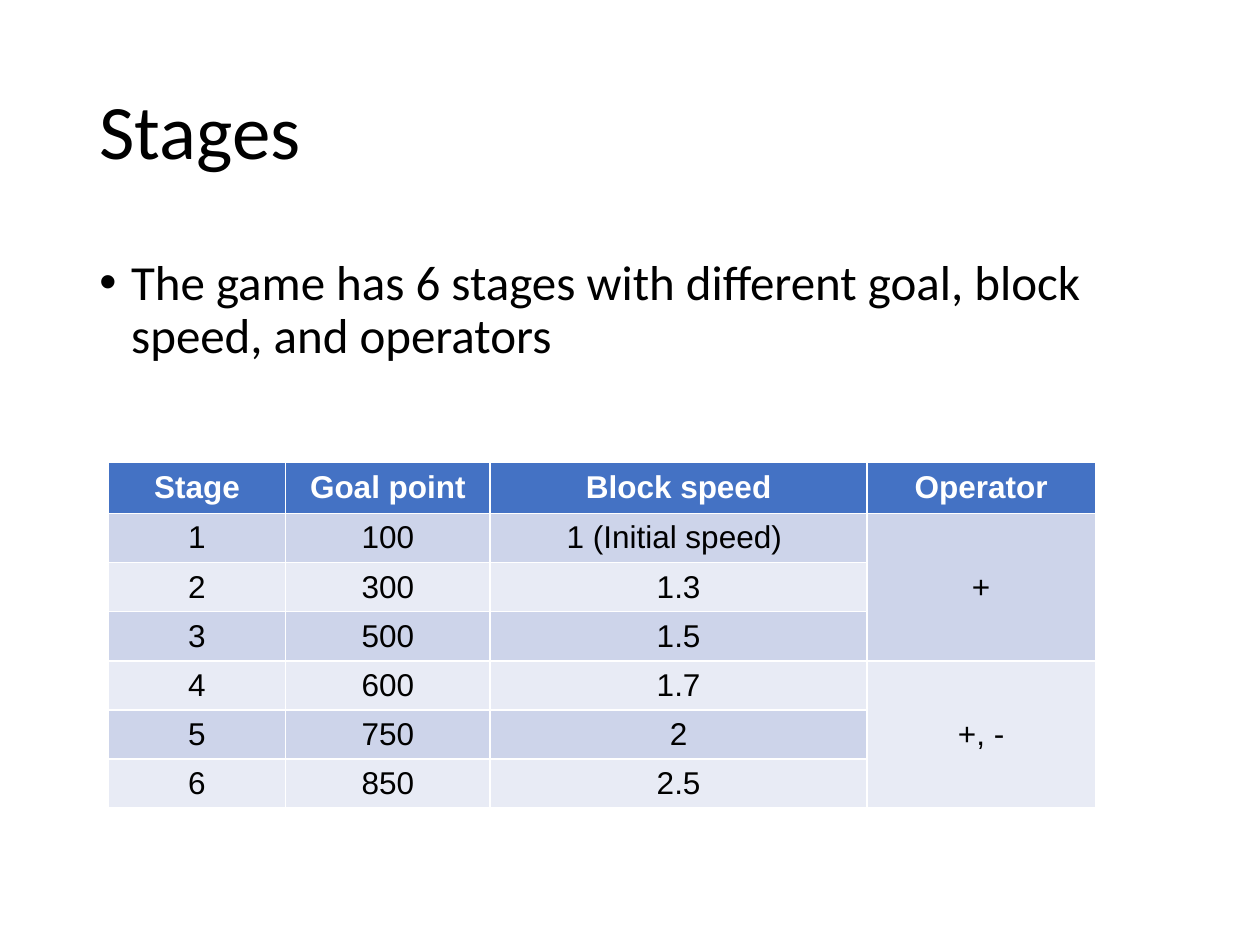
from lxml import etree
from pptx import Presentation
from pptx.dml.color import RGBColor
from pptx.enum.text import MSO_ANCHOR, MSO_AUTO_SIZE, PP_ALIGN
from pptx.oxml.ns import qn
from pptx.util import Cm, Pt

BLACK = RGBColor(0x00, 0x00, 0x00)
WHITE = RGBColor(0xFF, 0xFF, 0xFF)
HEADER = RGBColor(0x44, 0x72, 0xC4)
BAND_DARK = RGBColor(0xCD, 0xD4, 0xEA)
BAND_LIGHT = RGBColor(0xE8, 0xEB, 0xF5)


def format_text(p, font, size, color, align, bold=False):
    p.alignment = align
    for r in p.runs:
        r.font.name = font
        r.font.size = Pt(size)
        r.font.bold = bold
        r.font.color.rgb = color


prs = Presentation()
prs.slide_width, prs.slide_height = Cm(25.4), Cm(19.05)
s = prs.slides.add_slide(prs.slide_layouts[1])
title, body = s.placeholders

placeholders = [
    (title, "Stages", 0.86, 4.55 - 0.86, 44, MSO_ANCHOR.MIDDLE),
    (body, "The game has 6 stages with different goal, block speed, and operators",
     5.08, 12.09, 28, MSO_ANCHOR.TOP),
]
for sp, text, top, height, size, anchor in placeholders:
    sp.left, sp.top, sp.width, sp.height = Cm(1.75), Cm(top), Cm(21.9), Cm(height)
    tf = sp.text_frame
    tf.text = text
    tf.word_wrap = True
    tf.auto_size = MSO_AUTO_SIZE.NONE
    tf.vertical_anchor = anchor
    p = tf.paragraphs[0]
    p.line_spacing = 0.9
    format_text(p, "Calibri", size, BLACK, PP_ALIGN.LEFT)

p = body.text_frame.paragraphs[0]
p.space_before = Pt(10)
pPr = p._p.get_or_add_pPr()
pPr.set("marL", str(Cm(0.64)))
pPr.set("indent", str(-Cm(0.64)))
etree.SubElement(pPr, qn("a:buFont")).set("typeface", "Arial")
etree.SubElement(pPr, qn("a:buChar")).set("char", "•")

rows = [
    ("Stage", "Goal point", "Block speed", "Operator"),
    ("1", "100", "1 (Initial speed) ", "+"),
    ("2", "300", "1.3", ""),
    ("3", "500", "1.5", ""),
    ("4", "600", "1.7", "+, -"),
    ("5", "750", "2", ""),
    ("6", "850", "2.5", ""),
]
widths = [3.58, 4.12, 7.6, 4.6]
heights = [1.03] + [0.99] * 6

table = s.shapes.add_table(len(rows), len(widths), Cm(2.18), Cm(9.32),
                           Cm(sum(widths)), Cm(sum(heights))).table
for col, width in zip(table.columns, widths):
    col.width = Cm(width)
for row, height in zip(table.rows, heights):
    row.height = Cm(height)
for first in (1, 4):
    table.cell(first, 3).merge(table.cell(first + 2, 3))

for i, values in enumerate(rows):
    header = i == 0
    fill = HEADER if header else BAND_DARK if i % 2 else BAND_LIGHT
    for j, value in enumerate(values):
        cell = table.cell(i, j)
        cell.fill.solid()
        cell.fill.fore_color.rgb = fill
        cell.vertical_anchor = MSO_ANCHOR.MIDDLE
        if cell.is_spanned:
            continue
        cell.text_frame.text = value
        format_text(cell.text_frame.paragraphs[0], "Arial", 18,
                    WHITE if header else BLACK, PP_ALIGN.CENTER, header)

prs.save("out.pptx")
